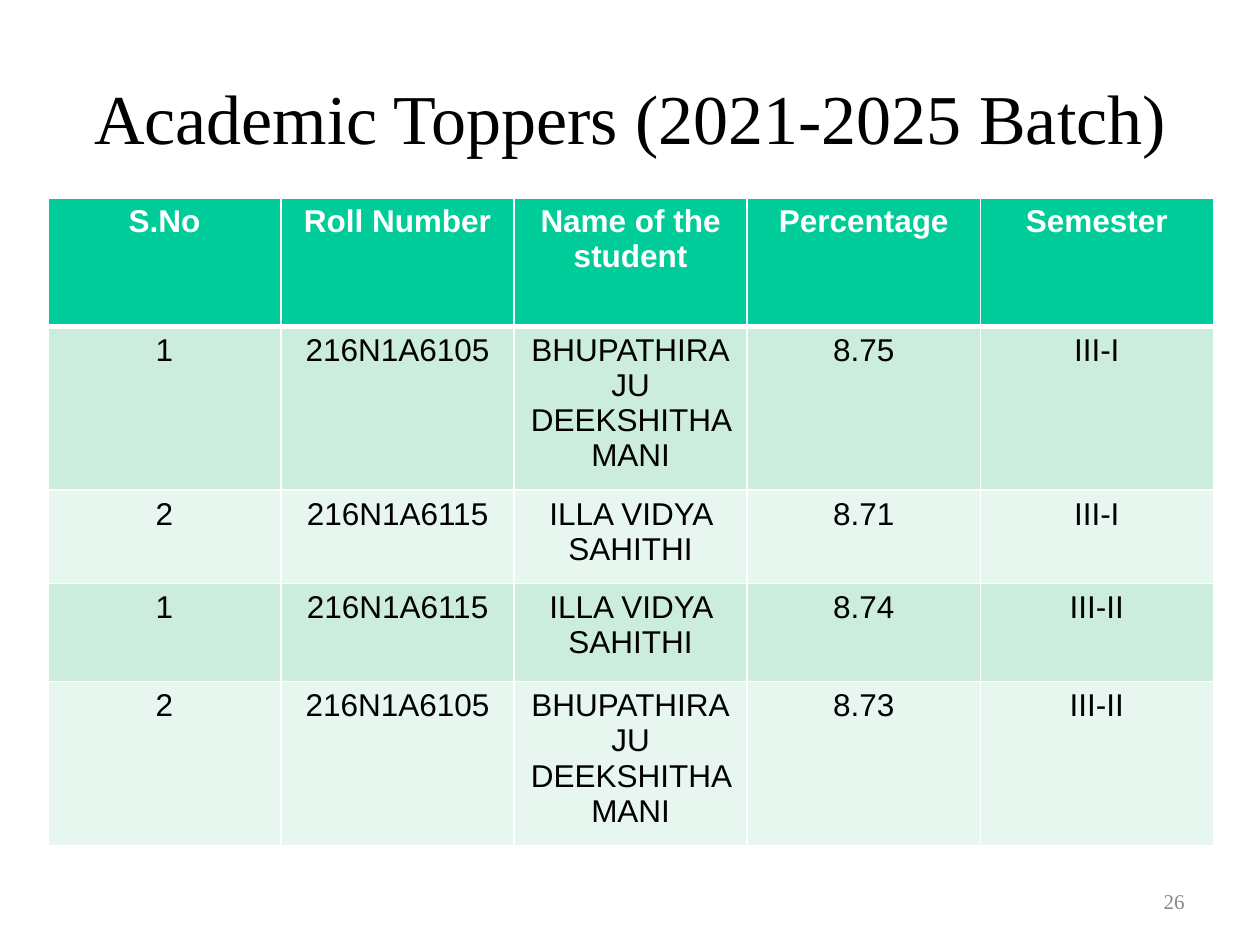
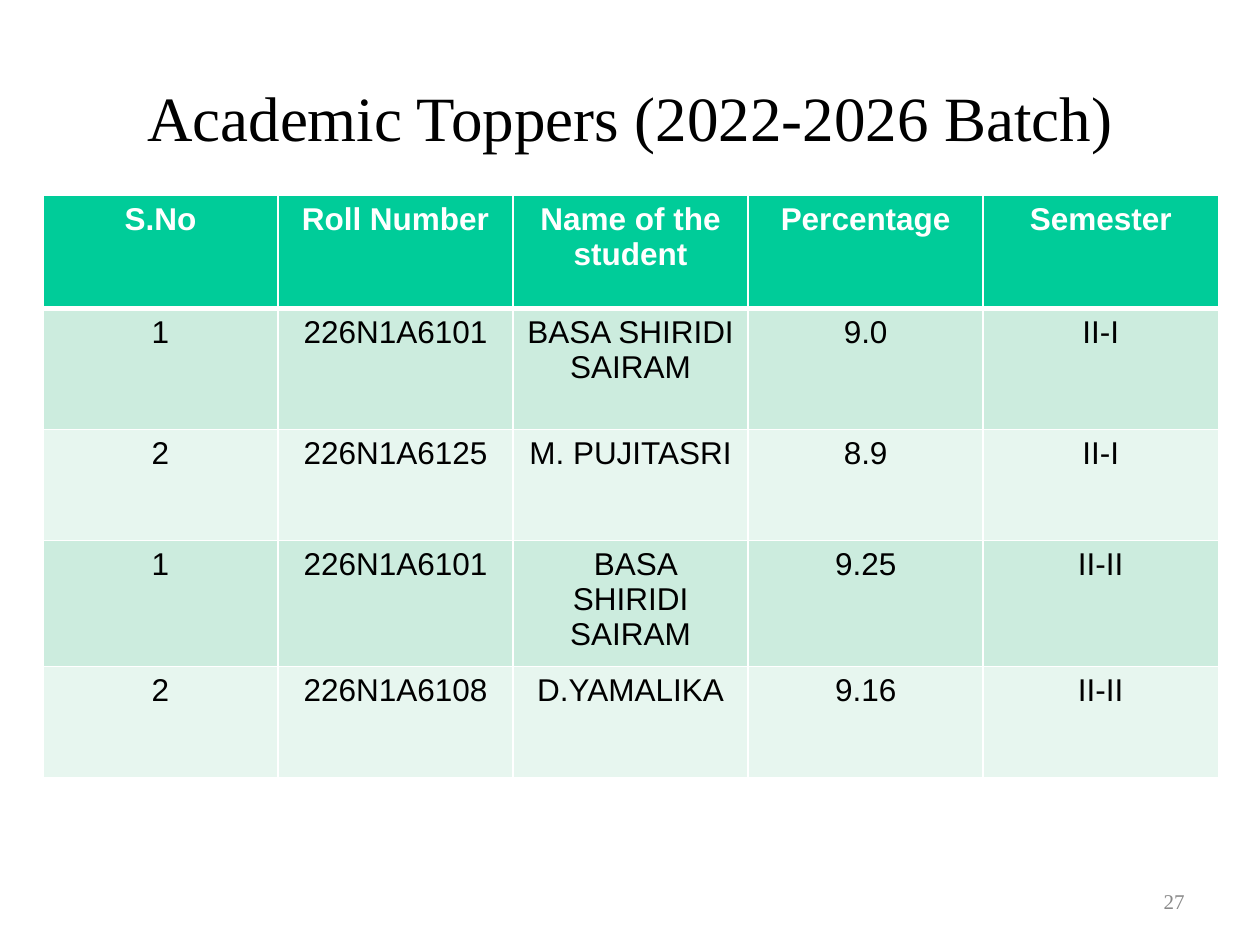
from lxml import etree
from pptx import Presentation
from pptx import util as u
from pptx.dml.color import RGBColor
from pptx.enum import text as t
from pptx.oxml import ns

SCALE = 9144
HEADS = ["S.No", "Roll Number", "Name of the student", "Percentage", "Semester"]


def px(n):
    return u.Emu(n * SCALE)


def tint(code):
    return RGBColor.from_string(code)


def write(frame, words, font="Arial", size=18, color="000000", bold=False,
          align=t.PP_ALIGN.CENTER):
    frame.word_wrap = True
    para = frame.paragraphs[0]
    para.alignment = align
    run = para.add_run()
    run.text = words
    run.font.name = font
    run.font.size = u.Pt(size)
    run.font.bold = bold
    run.font.color.rgb = tint(color)


class Deck:
    serif = "Times New Roman"
    white = "FFFFFF"
    head = "00CC99"
    bands = ["CCECDE", "E7F6EF"]
    gray = "898989"

    def __init__(self):
        self.show = Presentation()
        self.show.slide_width = px(1000)
        self.show.slide_height = px(750)

    def page(self, title, size, num):
        self.slide = self.show.slides.add_slide(self.show.slide_layouts[6])
        self.label(title, (50, 30, 900, 125), size=size)
        self.label(str(num), (717, 695, 233, 40), size=12, color=self.gray,
                   align=t.PP_ALIGN.RIGHT)

    def label(self, words, area, **style):
        frame = self.slide.shapes.add_textbox(*map(px, area)).text_frame
        frame.vertical_anchor = t.MSO_ANCHOR.MIDDLE
        write(frame, words, font=self.serif, **style)

    def edge(self, cell, side, width):
        line = etree.SubElement(cell._tc.get_or_add_tcPr(), ns.qn("a:ln" + side),
                                w=str(u.Pt(width)))
        fill = etree.SubElement(line, ns.qn("a:solidFill"))
        etree.SubElement(fill, ns.qn("a:srgbClr"), val=self.white)

    def cell(self, cell, words, row):
        first = row == 0
        for side in "LRTB":
            thick = (first and side == "B") or (row == 1 and side == "T")
            self.edge(cell, side, 3 if thick else 1)
        cell.fill.solid()
        cell.fill.fore_color.rgb = tint(self.head if first else self.bands[(row - 1) % 2])
        write(cell.text_frame, words, bold=first,
              color=self.white if first else "000000")

    def table(self, left, top, width, highs, rows):
        rows = [HEADS] + rows
        grid = self.slide.shapes.add_table(
            len(rows), len(HEADS), px(left), px(top), px(width), px(sum(highs))).table
        grid.horz_banding = False
        for r, (high, row) in enumerate(zip(highs, rows)):
            grid.rows[r].height = px(high)
            for c, words in enumerate(row):
                self.cell(grid.cell(r, c), words, r)


def main():
    deck = Deck()
    deck.page("Academic Toppers (2021-2025 Batch)", 40, 26)
    deck.table(38, 157, 925, [102, 122, 74, 78, 122], [
        ["1", "216N1A6105", "BHUPATHIRAJU DEEKSHITHA MANI", "8.75", "III-I"],
        ["2", "216N1A6115", "ILLA VIDYA SAHITHI", "8.71", "III-I"],
        ["1", "216N1A6115", "ILLA VIDYA SAHITHI", "8.74", "III-II"],
        ["2", "216N1A6105", "BHUPATHIRAJU DEEKSHITHA MANI", "8.73", "III-II"],
    ])
    deck.page("Academic Toppers (2022-2026 Batch)", 36, 27)
    deck.table(34, 155, 933, [90, 96, 88, 94, 88], [
        ["1", "226N1A6101", "BASA SHIRIDI SAIRAM", "9.0", "II-I"],
        ["2", "226N1A6125", "M. PUJITASRI", "8.9", "II-I"],
        ["1", "226N1A6101", " BASA SHIRIDI SAIRAM", "9.25", "II-II"],
        ["2", "226N1A6108", "D.YAMALIKA", "9.16", "II-II"],
    ])
    deck.show.save("out.pptx")


if __name__ == "__main__":
    main()
